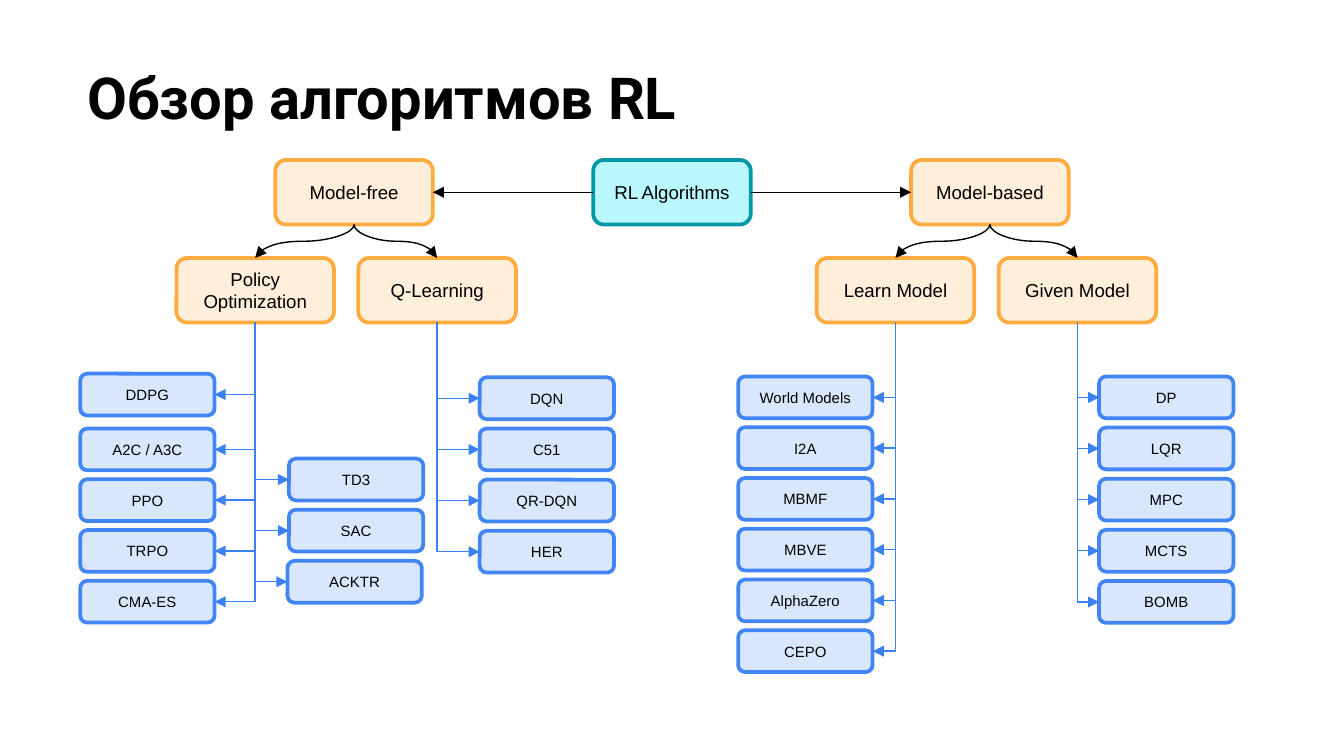
"""Draws an overview tree of reinforcement learning algorithms."""
from lxml import etree
from pptx import Presentation
from pptx.dml.color import RGBColor
from pptx.enum import shapes as es, text as et
from pptx.oxml import ns
from pptx.util import Pt

BLACK, BLUE = "000000", "3C81F3"
CYAN = ("BAF8FF", "0097A7")
AMBER = ("FFEED9", "FFAB40")
SKY = ("D9E7FD", "4285F4")
NODE_W, NODE_H = 84.4, 34.6
LEAF_W, LEAF_H = 72, 22.4
TOP, MID = 85.7, 138.2
CENTER, REACH = 360, 170.3


def color(code):
    """Turn a hex string into a colour."""
    return RGBColor.from_string(code)


def write(frame, words, size=10, font="Arial", tint=BLACK, bold=False,
          align=et.PP_ALIGN.CENTER, anchor=et.MSO_ANCHOR.MIDDLE):
    """Put formatted words into a text frame."""
    frame.word_wrap = True
    frame.vertical_anchor = anchor
    para = frame.paragraphs[0]
    para.alignment = align
    run = para.add_run()
    run.text = words
    run.font.size, run.font.name, run.font.bold = Pt(size), font, bold
    run.font.color.rgb = color(tint)


def title(slide, words):
    """Add the slide title."""
    box = slide.shapes.add_textbox(Pt(39.6), Pt(25.9), Pt(671), Pt(77))
    frame = box.text_frame
    frame.margin_left = frame.margin_right = Pt(7.2)
    frame.margin_top = frame.margin_bottom = Pt(7.2)
    write(frame, words, size=31, font="Roboto", bold=True,
          align=et.PP_ALIGN.LEFT, anchor=et.MSO_ANCHOR.TOP)


def card(slide, words, left, top, wide, high, hues, size):
    """Add a rounded box with centred words."""
    box = slide.shapes.add_shape(es.MSO_SHAPE.ROUNDED_RECTANGLE,
                                 Pt(left), Pt(top), Pt(wide), Pt(high))
    box.shadow.inherit = False
    box.fill.solid()
    box.fill.fore_color.rgb = color(hues[0])
    box.line.color.rgb = color(hues[1])
    box.line.width = Pt(2)
    write(box.text_frame, words, size=size)


def node(slide, words, mid, top, hues=AMBER):
    """Add a large box centred on a given x."""
    card(slide, words, mid - NODE_W / 2, top, NODE_W, NODE_H, hues, 10)


def link(slide, kind, x1, y1, x2, y2, tint):
    """Add a connector with an arrowhead at its end."""
    line = slide.shapes.add_connector(kind, Pt(x1), Pt(y1), Pt(x2), Pt(y2))
    line.line.color.rgb = color(tint)
    line.line.width = Pt(0.75)
    props = line._element.spPr
    etree.SubElement(props.find(ns.qn("a:ln")), ns.qn("a:tailEnd"), type="triangle")
    etree.SubElement(props, ns.qn("a:effectLst"))
    return props


def drop(slide, kind, preset, x1, y1, x2, y2, tint):
    """Add a connector that leaves its start downwards."""
    wide, high = y2 - y1, abs(x2 - x1)
    left, top = (x1 + x2 - wide) / 2, (y1 + y2 - high) / 2
    props = link(slide, kind, left, top, left + wide, top + high, tint)
    props.find(ns.qn("a:prstGeom")).set("prst", preset)
    frame = props.find(ns.qn("a:xfrm"))
    if x2 < x1:
        frame.set("rot", "5400000")
    else:
        frame.set("rot", "16200000")
        frame.set("flipH", "1")


def split(slide, words, mid, kids):
    """Add a main class, its arrow from the root and its subclasses."""
    node(slide, words, mid, TOP)
    side = 1 if mid > CENTER else -1
    level = TOP + NODE_H / 2
    link(slide, es.MSO_CONNECTOR.STRAIGHT, CENTER + side * NODE_W / 2, level,
         mid - side * NODE_W / 2, level, BLACK)
    for kid, spot in kids:
        node(slide, kid, spot, MID)
        drop(slide, es.MSO_CONNECTOR.CURVE, "curvedConnector3",
             mid, TOP + NODE_H, spot, MID, BLACK)


def leaves(slide, stem, left, top, step, names):
    """Add a column of algorithms joined to the stem above."""
    edge = left if left > stem else left + LEAF_W
    for i, name in enumerate(names):
        y = top + i * step
        card(slide, name, left, y, LEAF_W, LEAF_H, SKY, 8)
        drop(slide, es.MSO_CONNECTOR.ELBOW, "bentConnector2",
             stem, MID + NODE_H, edge, y + LEAF_H / 2, BLUE)


def main():
    """Build and save the slide."""
    deck = Presentation()
    deck.slide_width, deck.slide_height = Pt(720), Pt(405)
    slide = deck.slides.add_slide(deck.slide_layouts[6])
    title(slide, "Обзор алгоритмов RL")
    policy, value, learn, given = 136.7, 234.2, 479.7, 577.2
    node(slide, "RL Algorithms", CENTER, TOP, CYAN)
    split(slide, "Model-free", CENTER - REACH,
          [("Policy Optimization", policy), ("Q-Learning", value)])
    split(slide, "Model-based", CENTER + REACH,
          [("Learn Model", learn), ("Given Model", given)])
    columns = [
        (policy, 43, 200.2, 0, ["DDPG"]),
        (policy, 43, 229.6, 27.2, ["A2C / A3C", "PPO", "TRPO", "CMA-ES"]),
        (policy, 154.8, 245.7, 27.4, ["TD3", "SAC"]),
        (policy, 154, 300.5, 0, ["ACKTR"]),
        (value, 257, 202.2, 27.4, ["DQN", "C51", "QR-DQN", "HER"]),
        (learn, 395.5, 201.7, 27.2,
         ["World Models", "I2A", "MBMF", "MBVE", "AlphaZero", "CEPO"]),
        (given, 588.8, 201.7, 27.4, ["DP", "LQR", "MPC", "MCTS", "BOMB"]),
    ]
    for column in columns:
        leaves(slide, *column)
    deck.save("out.pptx")


if __name__ == "__main__":
    main()
